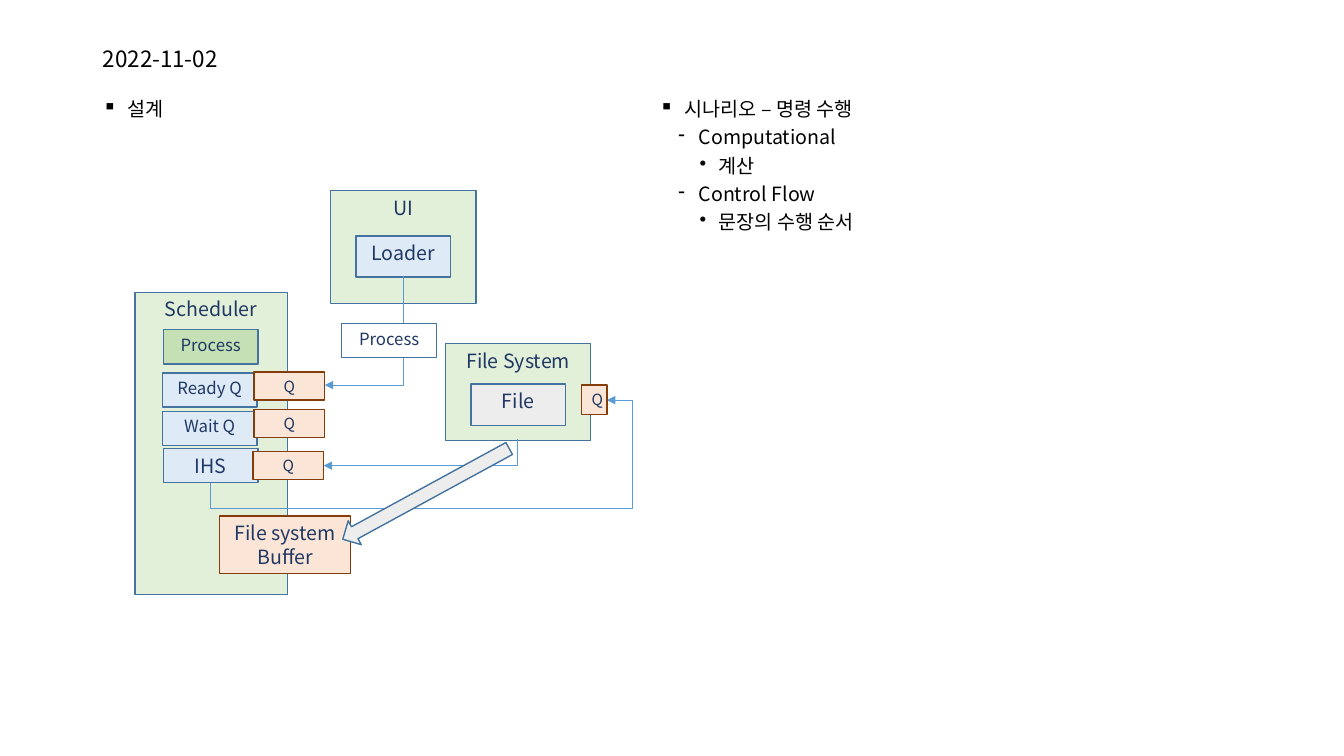
import pptx
import pptx.dml.color
import pptx.enum.shapes
import pptx.enum.text
import pptx.oxml
import pptx.oxml.ns
import pptx.util

FONT = "Noto Sans CJK KR"
COLORS = {
    "black": "000000", "navy": "203864", "edge": "43739E", "brown": "843C0B",
    "wire": "5B9BD5", "green": "E2F0D9", "leaf": "C5E0B4", "blue": "DEEBF7",
    "gray": "EDEDED", "peach": "FBE5D6", "white": "FFFFFF",
}
# The slide is a grid of 1333 columns by 750 rows, 100 to the inch.
COLUMNS, ROWS, PER_INCH = 1333, 750, 100

TITLE = ("2022-11-02", (92, 40, 1150, 39))
# Each line of a list is (level, text).
LISTS = [
    ((92, 94, 536, 581), [(0, "설계")]),
    ((644, 94, 608, 581), [
        (0, "시나리오 – 명령 수행"),
        (1, "Computational"), (2, "계산"),
        (1, "Control Flow"), (2, "문장의 수행 순서"),
    ]),
]
# Per level: bullet, left margin, hanging indent, space before in points.
LEVELS = [("▪", 25, 25, 10), ("-", 39, 20, 5), ("•", 59, 19, 5)]

PART, SMALL, QUEUE = (94, 41), (94, 34), (70, 28)
# Each box is (text, left and top, size, fill, line, text size).
BOXES_BELOW_WIRES = [
    ("Scheduler", (134, 290), (151, 300), "green", "edge", 14),
    ("UI", (328, 189), (144, 112), "green", "edge", 14),
    ("File System", (442, 341), (144, 96), "green", "edge", 14),
    ("File", (467, 381), PART, "gray", "edge", 14),
    ("Loader", (353, 234), PART, "blue", "edge", 14),
    ("Process", (162, 327), SMALL, "leaf", "edge", 12),
    ("IHS", (162, 445), SMALL, "blue", "edge", 14),
    ("Ready Q", (161, 370), SMALL, "blue", "edge", 12),
    ("Wait Q", (161, 408), SMALL, "blue", "edge", 12),
    ("Q", (252, 369), QUEUE, "peach", "brown", 11),
    ("Q", (252, 406), QUEUE, "peach", "brown", 11),
    ("Q", (251, 448), QUEUE, "peach", "brown", 11),
]
BOXES_ABOVE_WIRES = [
    ("Process", (339, 321), SMALL, "white", "edge", 12),
    ("File system Buffer", (218, 512), (130, 57), "peach", "brown", 14),
    ("Q", (577, 382), (25, 29), "peach", "brown", 11),
]
# Each wire is (start, end, preset, flipped, bends as shares of its size).
WIRES = [
    ((513, 436), (321, 462), "bentConnector2", False, ()),
    ((400, 274), (322, 382), "bentConnector2", False, ()),
    ((209, 479), (602, 397), "bentConnector4", True, (-0.307, 1.064)),
]
BUFFER_ARROW = ((409, 396, 27, 188), 61.4)


def units(*values):
    return [pptx.util.Inches(value / PER_INCH) for value in values]


def color(name):
    return pptx.dml.color.RGBColor.from_string(COLORS[name])


def add_xml(parent, tag, **attributes):
    child = parent.makeelement(pptx.oxml.ns.qn(tag), attributes)
    parent.append(child)
    return child


def style(para, size, ink):
    para.font.size = pptx.util.Pt(size)
    para.font.color.rgb = color(ink)
    para.font.name = FONT
    defaults = para._p.pPr.find(pptx.oxml.ns.qn("a:defRPr"))
    add_xml(defaults, "a:ea", typeface=FONT)


def add_title(page):
    text, place = TITLE
    title = page.shapes.title
    title.left, title.top, title.width, title.height = units(*place)
    frame = title.text_frame
    frame.text = text
    frame.auto_size = pptx.enum.text.MSO_AUTO_SIZE.NONE
    frame.vertical_anchor = pptx.enum.text.MSO_ANCHOR.MIDDLE
    para = frame.paragraphs[0]
    para.alignment = pptx.enum.text.PP_ALIGN.LEFT
    para.line_spacing = 0.9
    style(para, 16, "black")


def add_list(page, place, lines):
    frame = page.shapes.add_textbox(*units(*place)).text_frame
    frame.word_wrap = True
    for index, (level, text) in enumerate(lines):
        para = frame.add_paragraph() if index else frame.paragraphs[0]
        bullet, margin, hanging, gap = LEVELS[level]
        para.text = text
        para.level = level
        para.line_spacing = 0.9
        para.space_before = pptx.util.Pt(gap if index else 0)
        left, indent = units(margin, -hanging)
        para._p.pPr.set("marL", str(left))
        para._p.pPr.set("indent", str(indent))
        add_xml(para._p.pPr, "a:buChar", char=bullet)
        style(para, 14, "black")


def add_solid(page, preset, place, fill, line):
    shape = page.shapes.add_shape(preset, *units(*place))
    shape.shadow.inherit = False
    shape.fill.solid()
    shape.fill.fore_color.rgb = color(fill)
    shape.line.color.rgb = color(line)
    shape.line.width = pptx.util.Pt(1)
    return shape


def add_box(page, text, corner, size, fill, line, points):
    preset = pptx.enum.shapes.MSO_SHAPE.RECTANGLE
    frame = add_solid(page, preset, corner + size, fill, line).text_frame
    frame.word_wrap = True
    frame.vertical_anchor = pptx.enum.text.MSO_ANCHOR.TOP
    frame.text = text
    para = frame.paragraphs[0]
    para.alignment = pptx.enum.text.PP_ALIGN.CENTER
    style(para, points, "navy")


def add_wire(page, start, end, preset, flipped, bends):
    """Draw an elbow that leaves its start vertically, by a quarter turn."""
    width, height = abs(end[1] - start[1]), abs(end[0] - start[0])
    left = (start[0] + end[0] - width) / 2
    top = (start[1] + end[1] - height) / 2
    wire = page.shapes.add_connector(
        pptx.enum.shapes.MSO_CONNECTOR.ELBOW,
        *units(left, top, left + width, top + height))
    wire.line.color.rgb = color("wire")
    wire.line.width = pptx.util.Pt(0.5)
    add_xml(wire.line._get_or_add_ln(), "a:tailEnd", type="triangle")
    properties = wire.element.spPr
    add_xml(properties, "a:effectLst")
    frame = properties.find(pptx.oxml.ns.qn("a:xfrm"))
    frame.set("rot", str(90 * 60000))
    if flipped:
        frame.set("flipH", "1")
        frame.set("flipV", "1")
    geometry = properties.find(pptx.oxml.ns.qn("a:prstGeom"))
    geometry.set("prst", preset)
    guides = geometry.find(pptx.oxml.ns.qn("a:avLst"))
    for number, bend in enumerate(bends, 1):
        add_xml(guides, "a:gd", name=f"adj{number}", fmla=f"val {round(bend * 100000)}")


def main():
    deck = pptx.Presentation()
    deck.slide_width, deck.slide_height = units(COLUMNS, ROWS)
    page = deck.slides.add_slide(deck.slide_layouts[5])
    add_title(page)
    for place, lines in LISTS:
        add_list(page, place, lines)
    for box in BOXES_BELOW_WIRES:
        add_box(page, *box)
    for wire in WIRES:
        add_wire(page, *wire)
    for box in BOXES_ABOVE_WIRES:
        add_box(page, *box)
    place, angle = BUFFER_ARROW
    arrow = add_solid(page, pptx.enum.shapes.MSO_SHAPE.DOWN_ARROW, place, "gray", "edge")
    arrow.rotation = angle
    deck.save("out.pptx")


if __name__ == "__main__":
    main()
